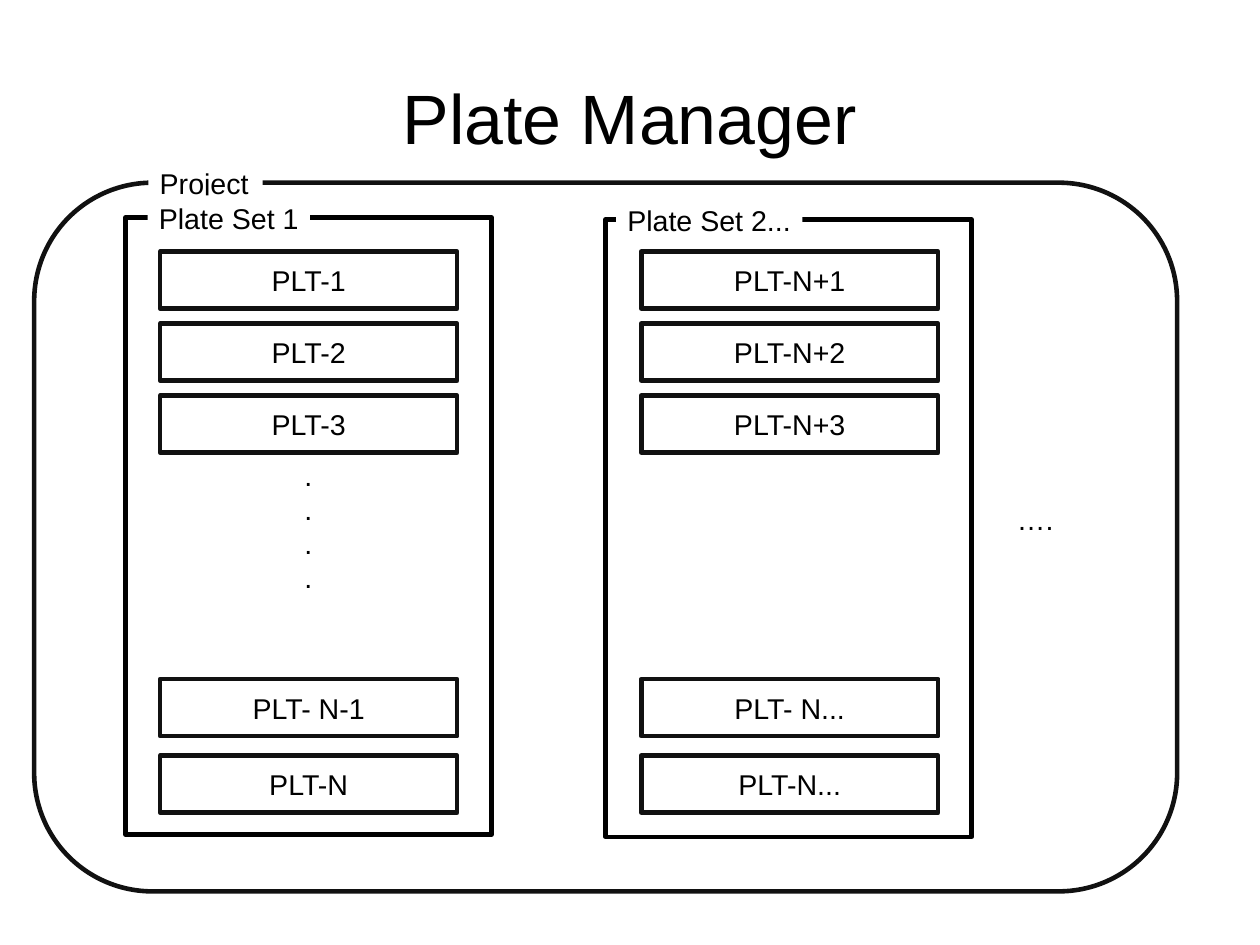
from dataclasses import dataclass

import pptx
import pptx.dml.color
import pptx.enum.shapes
import pptx.enum.text
import pptx.slide
import pptx.util

Cm = pptx.util.Cm
RGBColor = pptx.dml.color.RGBColor
ShapeType = pptx.enum.shapes.MSO_SHAPE
Align = pptx.enum.text.PP_ALIGN
Anchor = pptx.enum.text.MSO_ANCHOR


@dataclass(frozen=True)
class Theme:
    font: str = "Arial"
    title_size: float = 44
    body_size: float = 18
    line_width: float = 2.89
    text: RGBColor = RGBColor(0, 0, 0)
    set_line: RGBColor = RGBColor(0, 0, 0)
    plate_line: RGBColor = RGBColor(0x11, 0x11, 0x11)
    background: RGBColor = RGBColor(255, 255, 255)


@dataclass(frozen=True)
class Box:
    """A rectangle in centimetres."""
    left: float
    top: float
    width: float
    height: float

    def lengths(self) -> tuple[int, ...]:
        return tuple(Cm(value) for value in (self.left, self.top, self.width, self.height))


@dataclass(frozen=True)
class PlateSet:
    frame: Box
    frame_text: str
    label: str
    label_box: Box
    plate_left: float
    plates: tuple[str, ...]


THEME = Theme()
PLATE_TOPS = (5.59, 7.19, 8.79, 15.09, 16.79)
PLATE_WIDTH, PLATE_HEIGHT = 6.6, 1.27
PLATE_SETS = (
    PlateSet(Box(2.79, 4.83, 8.13, 13.72), ".\n.\n.\n.", "Plate Set 1",
             Box(3.28, 4.34, 3.61, 0.97), 3.56,
             ("PLT-1", "PLT-2", "PLT-3", "PLT- N-1", "PLT-N")),
    PlateSet(Box(13.46, 4.88, 8.13, 13.72), "", "Plate Set 2...",
             Box(13.69, 4.37, 4.14, 0.97), 14.25,
             ("PLT-N+1", "PLT-N+2", "PLT-N+3", "PLT- N...", "PLT-N...")),
)


def write_text(shape, text: str, align: Align, anchor: Anchor,
               wrap: bool = False, size: float = THEME.body_size) -> None:
    frame = shape.text_frame
    frame.text = text
    frame.word_wrap = wrap
    frame.vertical_anchor = anchor
    frame.margin_left = frame.margin_right = Cm(0.25)
    frame.margin_top = frame.margin_bottom = Cm(0.13)
    for paragraph in frame.paragraphs:
        paragraph.alignment = align
        for run in paragraph.runs:
            run.font.name = THEME.font
            run.font.size = pptx.util.Pt(size)
            run.font.color.rgb = THEME.text


def add_outline(slide: pptx.slide.Slide, box: Box, color: RGBColor, text: str = "",
                kind: ShapeType = ShapeType.RECTANGLE):
    """Draw an unfilled frame with centred text."""
    shape = slide.shapes.add_shape(kind, *box.lengths())
    shape.shadow.inherit = False
    shape.fill.background()
    shape.line.color.rgb = color
    shape.line.width = pptx.util.Pt(THEME.line_width)
    if text:
        write_text(shape, text, Align.CENTER, Anchor.MIDDLE)
    return shape


def add_label(slide: pptx.slide.Slide, box: Box, text: str, wrap: bool = False) -> None:
    """Draw a caption whose fill interrupts the frame line behind it."""
    shape = slide.shapes.add_shape(ShapeType.RECTANGLE, *box.lengths())
    shape.shadow.inherit = False
    shape.fill.solid()
    shape.fill.fore_color.rgb = THEME.background
    shape.line.fill.background()
    write_text(shape, text, Align.LEFT, Anchor.TOP, wrap)


def add_plate_set(slide: pptx.slide.Slide, plate_set: PlateSet) -> None:
    add_outline(slide, plate_set.frame, THEME.set_line, plate_set.frame_text)
    add_label(slide, plate_set.label_box, plate_set.label)
    for top, name in zip(PLATE_TOPS, plate_set.plates):
        box = Box(plate_set.plate_left, top, PLATE_WIDTH, PLATE_HEIGHT)
        add_outline(slide, box, THEME.plate_line, name)


def main() -> None:
    presentation = pptx.Presentation()
    presentation.slide_width, presentation.slide_height = Cm(28), Cm(21)
    slide = presentation.slides.add_slide(presentation.slide_layouts[6])

    title = slide.shapes.add_textbox(*Box(1.4, 0.84, 25.2, 3.51).lengths())
    write_text(title, "Plate Manager", Align.CENTER, Anchor.MIDDLE, True, THEME.title_size)

    project = add_outline(slide, Box(0.76, 4.06, 25.4, 15.75), THEME.plate_line,
                          kind=ShapeType.ROUNDED_RECTANGLE)
    project.adjustments[0] = 0.167
    add_label(slide, Box(3.3, 3.56, 2.54, 1.02), "Project", wrap=True)

    for plate_set in PLATE_SETS:
        add_plate_set(slide, plate_set)

    more_sets = slide.shapes.add_textbox(*Box(22.35, 11.02, 2.54, 1.68).lengths())
    write_text(more_sets, "….", Align.LEFT, Anchor.TOP, True)

    presentation.save("out.pptx")


if __name__ == "__main__":
    main()
